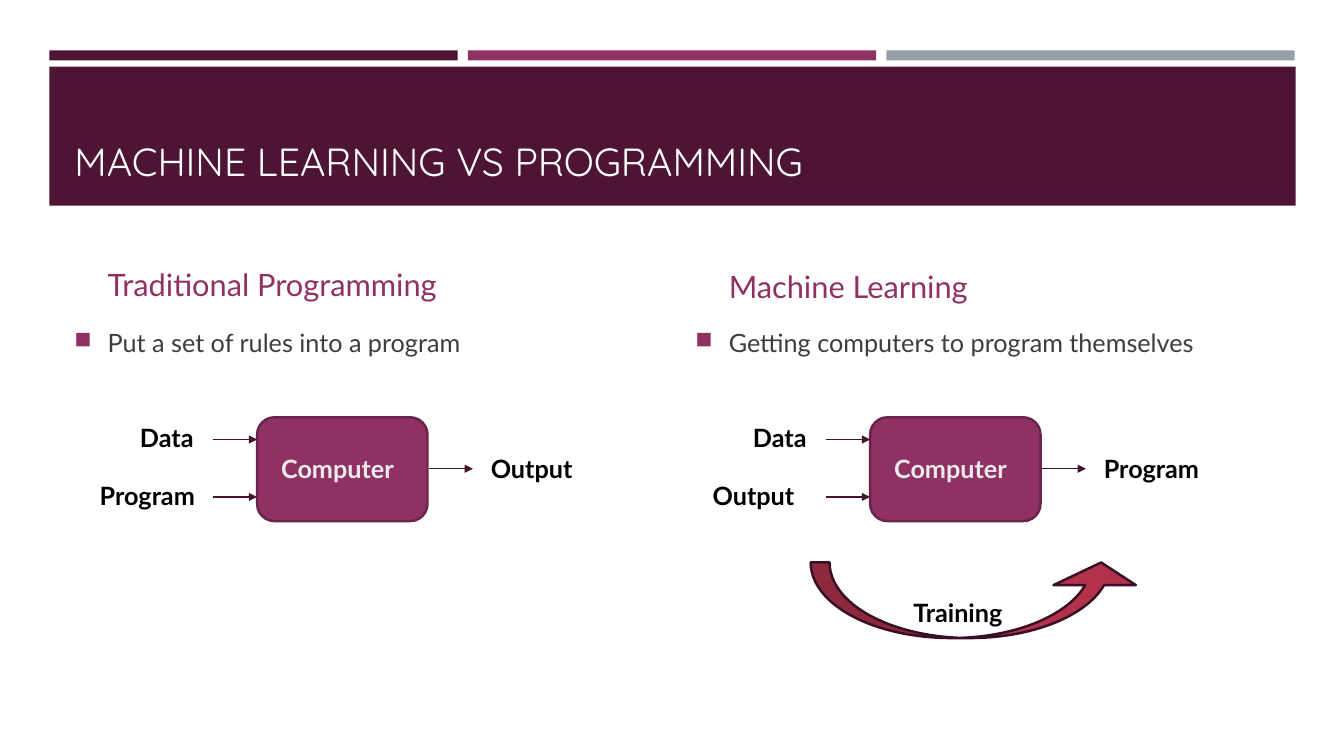
from lxml import etree
from pptx import Presentation
from pptx import util as u
from pptx.dml.color import RGBColor
from pptx.enum import shapes, text
from pptx.oxml import ns

DARK = RGBColor(0x4D, 0x14, 0x34)
PLUM = RGBColor(0x90, 0x31, 0x63)
GREY = RGBColor(0x96, 0x9F, 0xA7)
EDGE = RGBColor(0x6B, 0x24, 0x49)
WIRE = RGBColor(0x45, 0x12, 0x2F)
RED = RGBColor(0xB2, 0x32, 0x4B)
RIM = RGBColor(0x39, 0x0F, 0x26)
INK = RGBColor(0x3D, 0x3D, 0x3D)
PALE = RGBColor(0xEB, 0xEB, 0xEB)
BLACK = RGBColor(0, 0, 0)
WHITE = RGBColor(255, 255, 255)
KIND = shapes.MSO_SHAPE


def add_node(parent, tag, **attrs):
    """Append a DrawingML element to parent and return it."""
    return etree.SubElement(parent, ns.qn(tag), attrs)


class Deck:
    """Holds the text style and the current slide."""

    font = "Lato"

    def __init__(self, slide):
        """Draw on the given slide."""
        self.shapes = slide.shapes

    def shape(self, kind, box, fill, edge=None):
        """Add a filled shape, outlined if an edge colour is given."""
        item = self.shapes.add_shape(kind, *map(u.Inches, box))
        item.shadow.inherit = False
        item.fill.solid()
        item.fill.fore_color.rgb = fill
        if edge is None:
            item.line.fill.background()
        else:
            item.line.color.rgb = edge
            item.line.width = u.Pt(1.75)
        return item

    def text(self, words, box, size, color, font=None, bold=False,
             low=False, wrap=True):
        """Add a text box, anchored at its bottom if low."""
        item = self.shapes.add_textbox(*map(u.Inches, box))
        frame = item.text_frame
        frame.text = words
        frame.word_wrap = wrap
        if low:
            frame.vertical_anchor = text.MSO_ANCHOR.BOTTOM
        style = frame.paragraphs[0].runs[0].font
        style.name = font or self.font
        style.size = u.Pt(size)
        style.bold = bold
        style.color.rgb = color
        return item

    def label(self, words, left, top, width, color=BLACK, wrap=False):
        """Add a bold diagram label."""
        item = self.text(words, (left, top, width, 0.4), 18, color,
                         bold=True, wrap=wrap)
        item.text_frame.auto_size = text.MSO_AUTO_SIZE.SHAPE_TO_FIT_TEXT

    def bullet(self, words, box):
        """Add a text box with one square-bulleted line."""
        item = self.text(words, box, 18, INK)
        para = item.text_frame.paragraphs[0]
        para.space_after = u.Pt(6)
        props = para._p.get_or_add_pPr()
        indent = u.Inches(0.33)
        props.set("marL", str(indent))
        props.set("indent", str(-indent))
        tint = add_node(props, "a:buClr")
        add_node(tint, "a:srgbClr", val=str(PLUM))
        add_node(props, "a:buSzPct", val="92000")
        add_node(props, "a:buChar", char="■")

    def arrow(self, left, top):
        """Add a short arrow pointing right."""
        ends = map(u.Inches, (left, top, left + 0.44, top))
        item = self.shapes.add_connector(shapes.MSO_CONNECTOR.STRAIGHT, *ends)
        item.line.color.rgb = WIRE
        item.line.width = u.Pt(1)
        add_node(item.line._get_or_add_ln(), "a:tailEnd", type="triangle")
        add_node(item._element.spPr, "a:effectLst")

    def column(self, left, head, point, tall):
        """Add a heading and the bullet below it."""
        self.text(head, (left + 0.33, 2.46, 5.56, tall), 22, PLUM, low=True)
        self.bullet(point, (left, 3.2, 5.9, 3.21))

    def flow(self, left, second, result):
        """Add a computer with two inputs and one result."""
        self.label("Data", left + 0.4, 4.14, 0.77)
        self.label(second[0], left, 4.72, second[1])
        self.label(result[0], left + 3.88, 4.45, result[1])
        self.shape(KIND.FLOWCHART_ALTERNATE_PROCESS,
                   (left + 1.66, 4.14, 1.69, 1.03), PLUM, EDGE)
        self.label("Computer", left + 1.8, 4.45, 1.54, PALE, wrap=True)
        for side, top in ((1.22, 4.36), (1.22, 4.93), (3.36, 4.65)):
            self.arrow(left + side, top)


def main():
    """Build and save the slide."""
    show = Presentation()
    show.slide_width = u.Inches(13.33)
    show.slide_height = u.Inches(7.5)
    deck = Deck(show.slides.add_slide(show.slide_layouts[6]))

    for step, color in enumerate((DARK, PLUM, GREY)):
        deck.shape(KIND.RECTANGLE, (0.49 + step * 4.15, 0.5, 4.05, 0.1), color)
    deck.shape(KIND.RECTANGLE, (0.49, 0.66, 12.36, 1.38), DARK)
    deck.text("MACHINE LEARNING VS PROGRAMMING", (0.64, 0.8, 12.06, 1.08),
              28, WHITE, font="Quicksand", low=True)

    deck.column(0.64, "Traditional Programming",
                "Put a set of rules into a program", 0.59)
    deck.column(6.8, "Machine Learning",
                "Getting computers to program themselves", 0.61)

    program, output = ("Program", 1.25), ("Output", 1.07)
    deck.flow(0.89, program, output)
    deck.flow(6.97, output, program)

    loop = deck.shape(KIND.CURVED_UP_ARROW, (8.04, 5.58, 3.29, 0.75), RED, RIM)
    for spot, value in enumerate((0.25, 1.09, 0.3)):
        loop.adjustments[spot] = value
    deck.label("Training", 8.96, 5.88, 1.17)

    show.save("out.pptx")


main()
